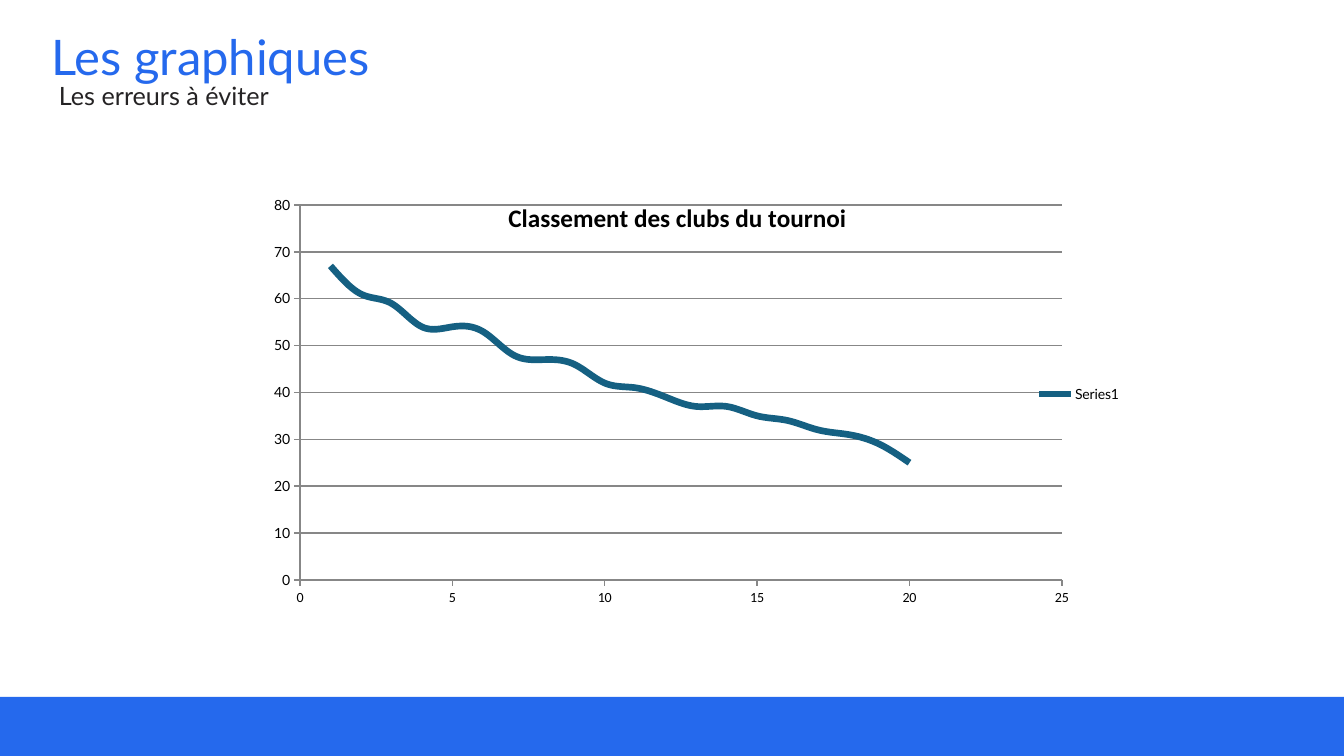
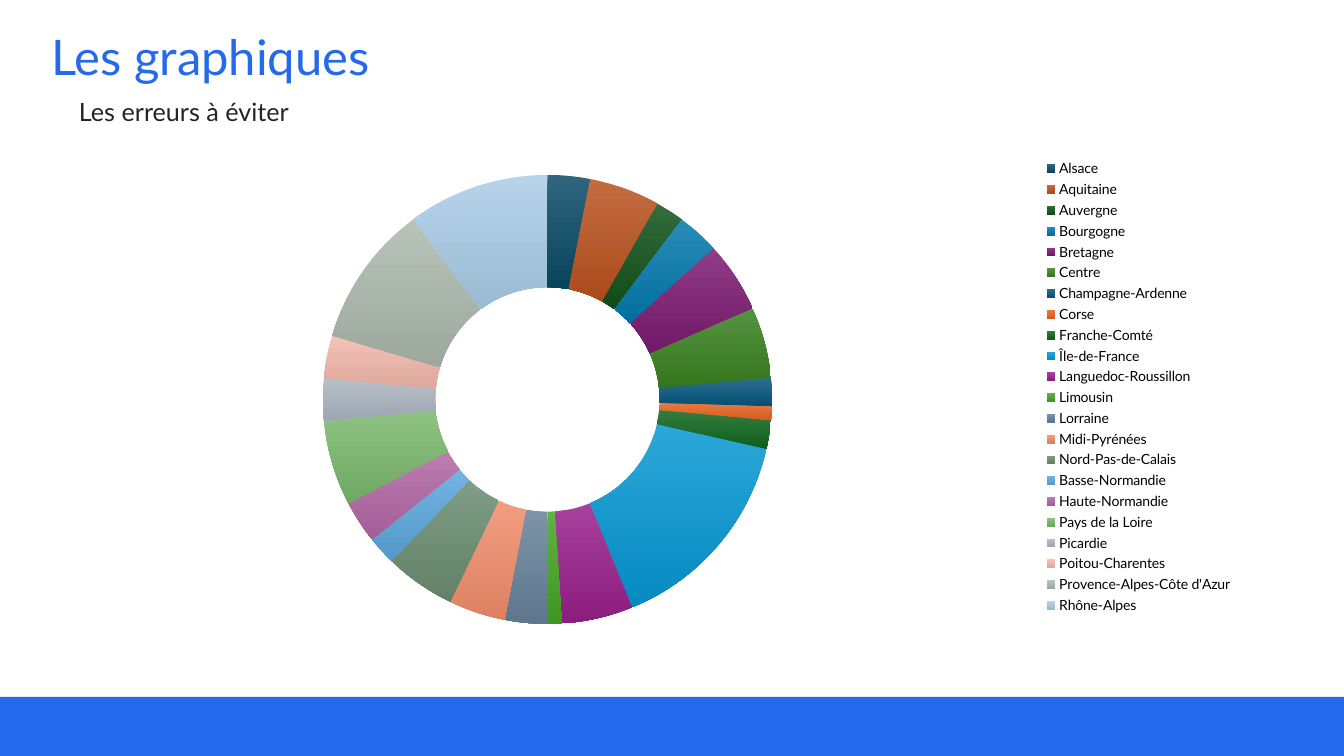
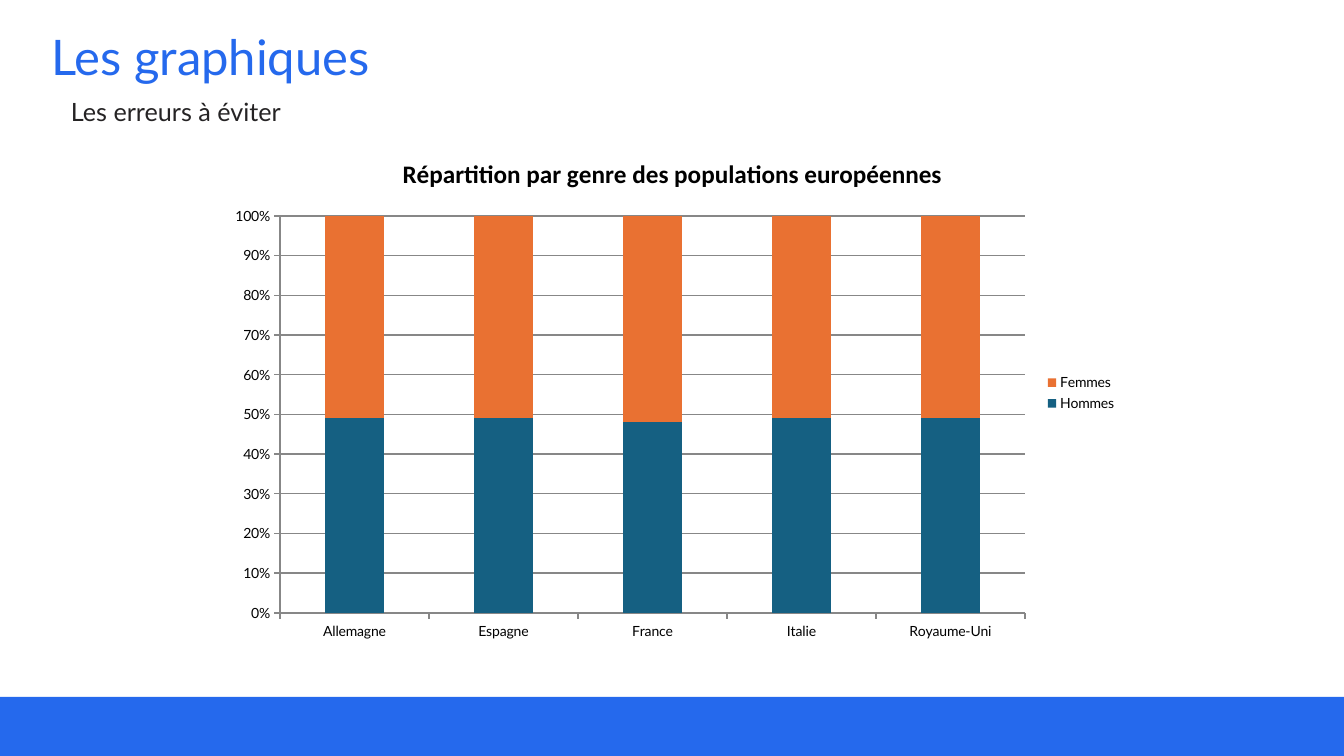
import dataclasses

import pptx
import pptx.chart.data
import pptx.dml.color
import pptx.enum.chart
import pptx.enum.shapes
import pptx.enum.text
import pptx.oxml
import pptx.oxml.ns
import pptx.util

EMU_PER_PX = 914400 / 100.8


def px(length):
    return pptx.util.Emu(round(length * EMU_PER_PX))


def rgb(value):
    return pptx.dml.color.RGBColor.from_string(value)


def blend(value, target, share):
    channels = (round(start + (target - start) * share) for start in rgb(value))
    return pptx.dml.color.RGBColor(*channels)


@dataclasses.dataclass(frozen=True)
class Theme:
    blue: str = "2569ED"
    ink: str = "252324"
    black: str = "000000"
    grid: str = "878787"
    teal: str = "156082"
    orange: str = "E97132"
    regions: tuple = (
        "0A4A66", "B9521E", "10521A", "0378AC", "7B1A70", "38801F",
        "05567C", "E5621F", "0E661C", "0696D2", "97208A", "45A324",
        "668199", "F08C6B", "6A8C6F", "5AA6DC", "B066A3", "79B76C",
        "ABB5C0", "F2B7AA", "ABB8AC", "A9CBE6",
    )
    font: str = "Lato"
    chart_title_font: str = "Calibri"
    title_size: int = 35
    subtitle_size: int = 18
    chart_title_size: int = 18
    chart_size: int = 10
    grid_width: float = 1
    curve_width: float = 4.75


class Deck:
    def __init__(self, theme):
        self.theme = theme
        self.file = pptx.Presentation()
        self.file.slide_width = px(1344)
        self.file.slide_height = px(756)
        self.page = None

    def style(self, font, size, color, name=None, bold=False):
        font.name = name or self.theme.font
        font.size = pptx.util.Pt(size)
        font.color.rgb = rgb(color)
        font.bold = bold

    def start_page(self, title, subtitle, left, top):
        self.page = self.file.slides.add_slide(self.file.slide_layouts[5])
        self.title(title)
        self.subtitle(subtitle, left, top)
        self.band()

    def title(self, text):
        box = self.page.shapes.title
        box.left, box.top, box.width, box.height = map(px, (41, 28, 1241, 64))
        frame = box.text_frame
        frame.text = text
        frame.auto_size = pptx.enum.text.MSO_AUTO_SIZE.NONE
        frame.vertical_anchor = pptx.enum.text.MSO_ANCHOR.MIDDLE
        para = frame.paragraphs[0]
        para.alignment = pptx.enum.text.PP_ALIGN.LEFT
        para.line_spacing = 0.9
        self.style(para.runs[0].font, self.theme.title_size, self.theme.blue)

    def subtitle(self, text, left, top):
        box = self.page.shapes.add_textbox(*map(px, (left, top, 272, 40)))
        frame = box.text_frame
        frame.text = text
        frame.word_wrap = True
        frame.auto_size = pptx.enum.text.MSO_AUTO_SIZE.SHAPE_TO_FIT_TEXT
        span = frame.paragraphs[0].runs[0]
        self.style(span.font, self.theme.subtitle_size, self.theme.ink)

    def band(self):
        shape = self.page.shapes.add_shape(
            pptx.enum.shapes.MSO_SHAPE.RECTANGLE, *map(px, (0, 697, 1344, 59)))
        shape.shadow.inherit = False
        shape.fill.solid()
        shape.fill.fore_color.rgb = rgb(self.theme.blue)
        shape.line.fill.background()

    def chart(self, kind, data, place, plot_area, title=None):
        chart = self.page.shapes.add_chart(kind, *map(px, place), data).chart
        self.style(chart.font, self.theme.chart_size, self.theme.black)
        chart.has_legend = True
        chart.legend.position = pptx.enum.chart.XL_LEGEND_POSITION.RIGHT
        chart.legend.include_in_layout = False
        chart.has_title = title is not None
        if title:
            frame = chart.chart_title.text_frame
            frame.text = title
            self.style(frame.paragraphs[0].runs[0].font, self.theme.chart_title_size,
                       self.theme.black, self.theme.chart_title_font, True)
        self.lay_out_plot(chart, place, plot_area)
        return chart

    def lay_out_plot(self, chart, place, plot_area):
        left, top, width, height = place
        plot_left, plot_top, plot_width, plot_height = plot_area
        fractions = ((plot_left - left) / width, (plot_top - top) / height,
                     plot_width / width, plot_height / height)
        settings = [("layoutTarget", "inner"), ("xMode", "edge"), ("yMode", "edge")]
        settings += zip("xywh", fractions)
        tags = "".join(f'<c:{tag} val="{value}"/>' for tag, value in settings)
        layout = pptx.oxml.parse_xml(
            f'<c:layout {pptx.oxml.ns.nsdecls("c")}>'
            f"<c:manualLayout>{tags}</c:manualLayout></c:layout>")
        area = chart.element.chart.plotArea
        for previous in area.findall(pptx.oxml.ns.qn("c:layout")):
            area.remove(previous)
        area.insert(0, layout)

    def axis(self, axis, gridlines=False, limits=None, step=None, number_format=None, font=None):
        axis.has_major_gridlines = gridlines
        axis.major_tick_mark = pptx.enum.chart.XL_TICK_MARK.OUTSIDE
        axis.minor_tick_mark = pptx.enum.chart.XL_TICK_MARK.NONE
        lines = [axis.format.line]
        if gridlines:
            lines.append(axis.major_gridlines.format.line)
        for line in lines:
            line.color.rgb = rgb(self.theme.grid)
            line.width = pptx.util.Pt(self.theme.grid_width)
        if limits:
            axis.minimum_scale, axis.maximum_scale = limits
            axis.major_unit = step
        labels = axis.tick_labels
        self.style(labels.font, self.theme.chart_size, self.theme.black, font)
        if number_format:
            labels.number_format = number_format
            labels.number_format_is_linked = False

    def curve(self, name, values, title, place, plot_area):
        data = pptx.chart.data.XyChartData()
        series = data.add_series(name)
        for rank, value in enumerate(values, 1):
            series.add_data_point(rank, value)
        chart = self.chart(pptx.enum.chart.XL_CHART_TYPE.XY_SCATTER_SMOOTH_NO_MARKERS,
                           data, place, plot_area, title)
        plot = chart.plots[0]
        plot.vary_by_categories = False
        line = plot.series[0].format.line
        line.color.rgb = rgb(self.theme.teal)
        line.width = pptx.util.Pt(self.theme.curve_width)
        for smooth in chart.element.iter(pptx.oxml.ns.qn("c:smooth")):
            smooth.set("val", "1")
        self.axis(chart.category_axis, limits=(0, 25), step=5,
                  font=self.theme.chart_title_font)
        self.axis(chart.value_axis, True, (0, 80), 10)

    def doughnut(self, name, shares, place, plot_area):
        data = pptx.chart.data.CategoryChartData()
        data.categories = list(shares)
        data.add_series(name, list(shares.values()))
        chart = self.chart(pptx.enum.chart.XL_CHART_TYPE.DOUGHNUT, data, place, plot_area)
        plot = chart.plots[0]
        plot.vary_by_categories = True
        for index, color in enumerate(self.theme.regions):
            slice_format = plot.series[0].points[index].format
            slice_format.fill.gradient()
            slice_format.fill.gradient_angle = 270
            light, dark = slice_format.fill.gradient_stops
            light.color.rgb = blend(color, 255, 0.15)
            dark.color.rgb = blend(color, 0, 0.08)
            slice_format.line.fill.background()

    def stacked_columns(self, categories, groups, title, place, plot_area):
        data = pptx.chart.data.CategoryChartData()
        data.categories = categories
        for name, values in groups.items():
            data.add_series(name, values)
        chart = self.chart(pptx.enum.chart.XL_CHART_TYPE.COLUMN_STACKED_100,
                           data, place, plot_area, title)
        plot = chart.plots[0]
        plot.vary_by_categories = False
        plot.gap_width = 150
        plot.overlap = 100
        for series, color in zip(plot.series, (self.theme.teal, self.theme.orange)):
            series.format.fill.solid()
            series.format.fill.fore_color.rgb = rgb(color)
        self.axis(chart.category_axis)
        self.axis(chart.value_axis, True, number_format="0%")


CLUB_POINTS = (67, 61, 59, 54, 54, 53, 48, 47, 46, 42,
               41, 39, 37, 37, 35, 34, 32, 31, 29, 25)
SMOOTH_CLUB_POINTS = CLUB_POINTS
REGION_SHARES = {
    "Alsace": 3, "Aquitaine": 5, "Auvergne": 2, "Bourgogne": 3,
    "Bretagne": 5, "Centre": 5, "Champagne-Ardenne": 2, "Corse": 1,
    "Franche-Comté": 2, "Île-de-France": 15, "Languedoc-Roussillon": 5,
    "Limousin": 1, "Lorraine": 3, "Midi-Pyrénées": 4,
    "Nord-Pas-de-Calais": 5, "Basse-Normandie": 2, "Haute-Normandie": 3,
    "Pays de la Loire": 6, "Picardie": 3, "Poitou-Charentes": 3,
    "Provence-Alpes-Côte d'Azur": 10, "Rhône-Alpes": 10,
}
COUNTRIES = ("Allemagne", "Espagne", "France", "Italie", "Royaume-Uni")
GENDERS = {"Hommes": (49, 49, 48, 49, 49), "Femmes": (51, 51, 52, 51, 51)}
TITLE = "Les graphiques"
SUBTITLE = "Les erreurs à éviter"


def main():
    deck = Deck(Theme())

    deck.start_page(TITLE, SUBTITLE, 49, 75)
    deck.curve("Series1", CLUB_POINTS, "Classement des clubs du tournoi",
               (223, 182, 909, 424), (300, 205, 762, 375))

    deck.start_page(TITLE, SUBTITLE, 69, 91)
    deck.doughnut("Series 1", REGION_SHARES,
                  (84, 147, 1159, 480), (323, 175, 449, 449))

    deck.start_page(TITLE, SUBTITLE, 61, 91)
    deck.stacked_columns(COUNTRIES, GENDERS,
                         "Répartition par genre des populations européennes",
                         (218, 136, 909, 514), (280, 216, 745, 397))

    deck.file.save("out.pptx")


if __name__ == "__main__":
    main()
